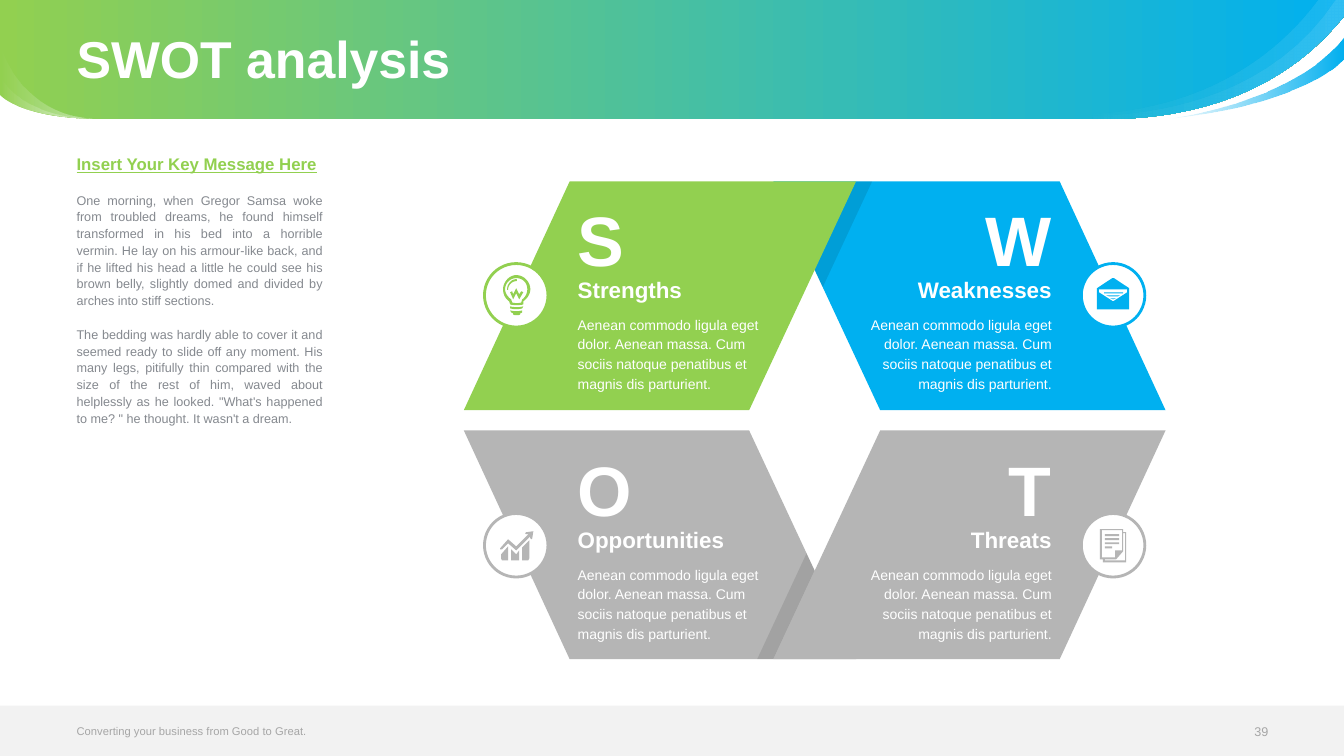
from lxml.etree import SubElement
from pptx import Presentation
from pptx.dml.color import RGBColor
from pptx.enum.shapes import MSO_SHAPE
from pptx.enum.text import MSO_ANCHOR, MSO_AUTO_SIZE, PP_ALIGN
from pptx.oxml.ns import qn
from pptx.util import Inches, Pt

WIDTH, HEIGHT = 13.33, 7.5
MIRROR_X, MIRROR_Y = 16.16, 8.34
ROW_STEP = 2.48
GREEN, BLUE, GRAY, WHITE = "92D050", "00B0F0", "B5B5B5", "FFFFFF"

HEADER = [(WIDTH, 0), (WIDTH, 0.16), (12.66, 1, 11.7, 1.17, 11.05, 1.18),
          (0.97, 1.18), (0.18, 1.17, 0, 0.94, 0, 0.94), (0, 0)]
CLEAR_TO_FAINT = [(0.15, WHITE, 0), (1, WHITE, 10)]
CLEAR_TO_HALF = [(0, WHITE, 0), (1, WHITE, 50)]
SWOOSHES = [
    ([(WIDTH, 0), (WIDTH, 0.16), (12.24, 1.53, 10.39, 1.13, 10.34, 1.12),
      (10.4, 1.12, 12.32, 1.39, 13.24, 0)], CLEAR_TO_FAINT),
    ([(11.57, 1.18), (11.57, 1.18, 12.82, 1.03, WIDTH, 0.37), (WIDTH, 0.59),
      (WIDTH, 0.59, 12.94, 1.04, 11.57, 1.18)], [(0, BLUE, 0), (1, BLUE, 100)]),
    ([(WIDTH, 0), (WIDTH, 0.16), (12.23, 1.55, 10.34, 1.12, 10.34, 1.12),
      (11.89, 1.22, 12.7, 0.5, 13.07, 0)], CLEAR_TO_FAINT),
    ([(0.98, 1.18), (0.18, 1.17, 0, 0.94, 0, 0.94), (0, 0.76),
      (0, 0.76, 0.18, 1.17, 0.98, 1.18)], CLEAR_TO_HALF),
    ([(0.98, 1.18), (0.18, 1.17, 0, 0.94, 0, 0.94), (0, 0.45),
      (0, 0.45, 0.18, 1.16, 0.98, 1.18)], CLEAR_TO_HALF),
]

PANEL = [(5.65, 1.8), (8.49, 1.8), (7.43, 4.07), (4.6, 4.07)]
FOLD = [(7.51, 1.8), (8, 2.85), (8.08, 2.68), (7.67, 1.8)]

BULB = [
    [(0, -20), (-7, -20, -13, -13, -13, -6), (-13, -1, -11, 3, -7, 6), (-6, 9),
     (-4, 10, 5, 10, 7, 9), (7, 6), (11, 3, 14, -1, 14, -6), (14, -13, 8, -20, 0, -20)],
    [(6, 4), (5, 7), (4, 8, -3, 8, -4, 7), (-5, 4), (-8, 2, -11, -2, -11, -6),
     (-11, -12, -6, -17, 0, -17), (7, -17, 11, -12, 11, -6), (11, -2, 9, 2, 6, 4)],
    [(3, -1), (0, -7), (-3, -1), (-4, -4), (-6, -3), (-3, 4), (0, -2), (3, 4), (7, -3), (5, -4)],
    [(0, -14), (1, -14, 1, -16, 0, -16), (-5, -16, -9, -11, -9, -6),
     (-9, -5, -8, -5, -8, -6), (-8, -10, -4, -14, 0, -14)],
    [(-6, 11), (-6, 13), (-2, 14, 2, 14, 6, 13), (7, 11), (3, 12, -2, 12, -6, 11)],
    [(-6, 15), (-5, 17), (-3, 18), (-3, 19), (-2, 20, 3, 20, 4, 19), (4, 18), (6, 17),
     (6, 15), (2, 16, -2, 16, -6, 15)],
]
ENVELOPE = [
    [(-16, 14), (16, 14), (16, -7), (1, -17), (-1, -17), (-16, -7)],
    [(14, -3), (0, 6), (-14, -3), (-14, -6), (14, -6)],
    [(0, 4), (3, 3), (-3, 3)],
    [(-4, 1), (5, 1), (7, 0), (-7, 0)],
    [(-9, -2), (10, -2), (10, -3), (-9, -3)],
]
GROWTH = [
    [(-15, 13), (-14, 15), (-8, 15), (-8, 1), (-15, 9)],
    [(-5, 4), (-5, 15), (3, 15), (3, 5), (0, 9)],
    [(6, 2), (6, 15), (12, 15), (13, 13), (13, -5)],
    [(10, -13), (9, -12), (10, -11), (12, -11), (0, 1), (-8, -6), (-16, 3), (-16, 4),
     (-14, 4), (-8, -2), (0, 5), (14, -9), (14, -7), (15, -6), (16, -7), (17, -14)],
]
DOCUMENT = [
    [(10, -13), (10, -16), (-13, -16), (-13, 14), (-10, 14), (-10, 17), (13, 17), (13, -13)],
    [(-11, 12), (-11, -15), (9, -15), (9, 5), (2, 5), (2, 12)],
    [(12, 15), (-8, 15), (-8, 14), (3, 14), (10, 6), (10, -12), (12, -12)],
] + [[(-8, y), (right, y), (right, y + 2), (-8, y + 2)]
     for y, right in [(-11, 6), (-7, 6), (-3, 6), (1, -1)]]

QUADRANTS = [
    ("Weaknesses", BLUE, ENVELOPE, True, False),
    ("Opportunities", GRAY, GROWTH, False, True),
    ("Threats", GRAY, DOCUMENT, True, True),
    ("Strengths", GREEN, BULB, False, False),
]
QUADRANT_TEXT = ("Aenean commodo ligula eget dolor. Aenean massa. Cum sociis natoque "
                 "penatibus et magnis dis parturient.")
STORY = [
    "One morning, when Gregor Samsa woke from troubled dreams, he found himself transformed "
    "in his bed into a horrible vermin. He lay on his armour-like back, and if he lifted his "
    "head a little he could see his brown belly, slightly domed and divided by arches into "
    "stiff sections.",
    "The bedding was hardly able to cover it and seemed ready to slide off any moment. His "
    "many legs, pitifully thin compared with the size of the rest of him, waved about "
    "helplessly as he looked. \"What's happened to me? \" he thought. It wasn't a dream.",
]


def rgb(code):
    return RGBColor.from_string(code)


def flatten(contour, steps=24):
    points = [contour[0]]
    for part in contour[1:]:
        if len(part) == 2:
            points.append(part)
            continue
        controls = [points[-1], part[:2], part[2:4], part[4:]]
        for step in range(1, steps + 1):
            t = step / steps
            weights = [(1 - t) ** 3, 3 * t * (1 - t) ** 2, 3 * t * t * (1 - t), t ** 3]
            points.append(tuple(sum(w * c[axis] for w, c in zip(weights, controls))
                                for axis in (0, 1)))
    return points


def mirrored(points, flip_x, flip_y):
    return [(MIRROR_X - x if flip_x else x, MIRROR_Y - y if flip_y else y) for x, y in points]


class SwotSlide:
    """Holds the slide and its style, and draws each kind of element."""

    font = "Arial"

    def __init__(self, deck):
        self.slide = deck.slides.add_slide(deck.slide_layouts[5])
        self.shapes = self.slide.shapes

    def finish(self, shape, stops):
        shape.shadow.inherit = False
        shape.line.fill.background()
        if len(stops) == 1:
            shape.fill.solid()
            shape.fill.fore_color.rgb = rgb(stops[0][1])
        else:
            shape.fill.gradient()
            shape.fill.gradient_angle = 0
            for stop, (position, color, opacity) in zip(shape.fill.gradient_stops, stops):
                stop.position = position
                stop.color.rgb = rgb(color)
        for tint, (position, color, opacity) in zip(shape._element.spPr.iter(qn("a:srgbClr")), stops):
            if opacity < 100:
                SubElement(tint, qn("a:alpha")).set("val", str(opacity * 1000))

    def outline(self, contours, stops, center=(0, 0), unit=1):
        placed = [[(Inches(center[0] + x * unit), Inches(center[1] + y * unit))
                   for x, y in flatten(contour)] for contour in contours]
        builder = self.shapes.build_freeform(*placed[0][0])
        for number, points in enumerate(placed):
            if number:
                builder.move_to(*points[0])
            builder.add_line_segments(points[1:], close=True)
        self.finish(builder.convert_to_shape(), stops)

    def bar(self, left, top, width, height, color):
        strip = self.shapes.add_shape(MSO_SHAPE.RECTANGLE, *map(Inches, (left, top, width, height)))
        self.finish(strip, [(0, color, 100)])

    def badge(self, center, color, icon):
        x, y = center
        size = 0.63
        disc = self.shapes.add_shape(MSO_SHAPE.OVAL, Inches(x - size / 2), Inches(y - size / 2),
                                     Inches(size), Inches(size))
        self.finish(disc, [(0, WHITE, 100)])
        disc.line.color.rgb = rgb(color)
        disc.line.width = Pt(2)
        self.outline(icon, [(0, color, 100)], center, 0.01)

    def frame(self, shape, anchor, fit=MSO_AUTO_SIZE.NONE):
        area = shape.text_frame
        area.word_wrap = True
        area.auto_size = fit
        area.vertical_anchor = anchor
        area.margin_left = area.margin_top = area.margin_right = area.margin_bottom = 0
        return area

    def add_words(self, paragraph, words, size, color, bold=False, align=PP_ALIGN.LEFT,
                  spacing=None, underline=False):
        paragraph.alignment = align
        paragraph.line_spacing = spacing
        run = paragraph.add_run()
        run.text = words
        run.font.name, run.font.size, run.font.bold = self.font, Pt(size), bold
        run.font.underline = underline
        run.font.color.rgb = rgb(color)

    def text(self, left, top, width, height, words, size, color, anchor=MSO_ANCHOR.TOP,
             fit=MSO_AUTO_SIZE.NONE, **style):
        box = self.shapes.add_textbox(*map(Inches, (left, top, width, height)))
        area = self.frame(box, anchor, fit)
        self.add_words(area.paragraphs[0], words, size, color, **style)
        return area

    def title(self, words):
        heading = self.shapes.title
        self.shapes._spTree.append(heading._element)
        heading.left, heading.top, heading.width, heading.height = map(Inches, (0.76, 0.05, 11.81, 1.13))
        area = self.frame(heading, MSO_ANCHOR.MIDDLE)
        self.add_words(area.paragraphs[0], words, 37, WHITE, bold=True, spacing=0.9)

    def quadrant(self, name, color, icon, right, lower):
        self.outline([mirrored(PANEL, right, lower)], [(0, color, 100)])
        if right != lower:
            self.outline([mirrored(FOLD, right, lower)], [(0, "000000", 10)])
        shift = ROW_STEP if lower else 0
        self.badge((MIRROR_X - 5.12 if right else 5.12, 2.93 + shift), color, icon)
        left = 8.49 if right else 5.73
        align = PP_ALIGN.RIGHT if right else PP_ALIGN.LEFT
        for top, height, words, size, bold, spacing in [
                (3.11, 0.79, QUADRANT_TEXT, 10, False, Pt(14)),
                (2.74, 0.27, name, 16, True, None),
                (1.95, 0.84, name[0], 50, True, None)]:
            self.text(left, top + shift, 1.94, height, words, size, WHITE, bold=bold,
                      align=align, spacing=spacing, fit=MSO_AUTO_SIZE.SHAPE_TO_FIT_TEXT)


def main():
    deck = Presentation()
    deck.slide_width, deck.slide_height = Inches(WIDTH), Inches(HEIGHT)
    swot = SwotSlide(deck)
    swot.outline([HEADER], [(0, GREEN, 100), (1, BLUE, 100)])
    for contour, stops in SWOOSHES:
        swot.outline([contour], stops)
    swot.bar(0, 7, WIDTH, 0.5, "F2F2F2")
    swot.title("SWOT analysis")
    message = swot.text(0.76, 1.56, 2.44, 5.19, "Insert Your Key Message Here", 12, GREEN,
                        bold=True, underline=True, align=PP_ALIGN.JUSTIFY, spacing=Pt(12))
    for words in STORY:
        paragraph = message.add_paragraph()
        paragraph.space_before = Pt(12)
        swot.add_words(paragraph, words, 9, "85898F", align=PP_ALIGN.JUSTIFY, spacing=Pt(12))
    swot.text(0.76, 7.12, 5.23, 0.26, "Converting your business from Good to Great.", 8, "A6A6A6",
              anchor=MSO_ANCHOR.MIDDLE)
    swot.text(11.95, 7.13, 0.63, 0.26, "39", 9, "A6A6A6", anchor=MSO_ANCHOR.MIDDLE,
              align=PP_ALIGN.RIGHT)
    for quadrant in QUADRANTS:
        swot.quadrant(*quadrant)
    deck.save("out.pptx")


if __name__ == "__main__":
    main()
